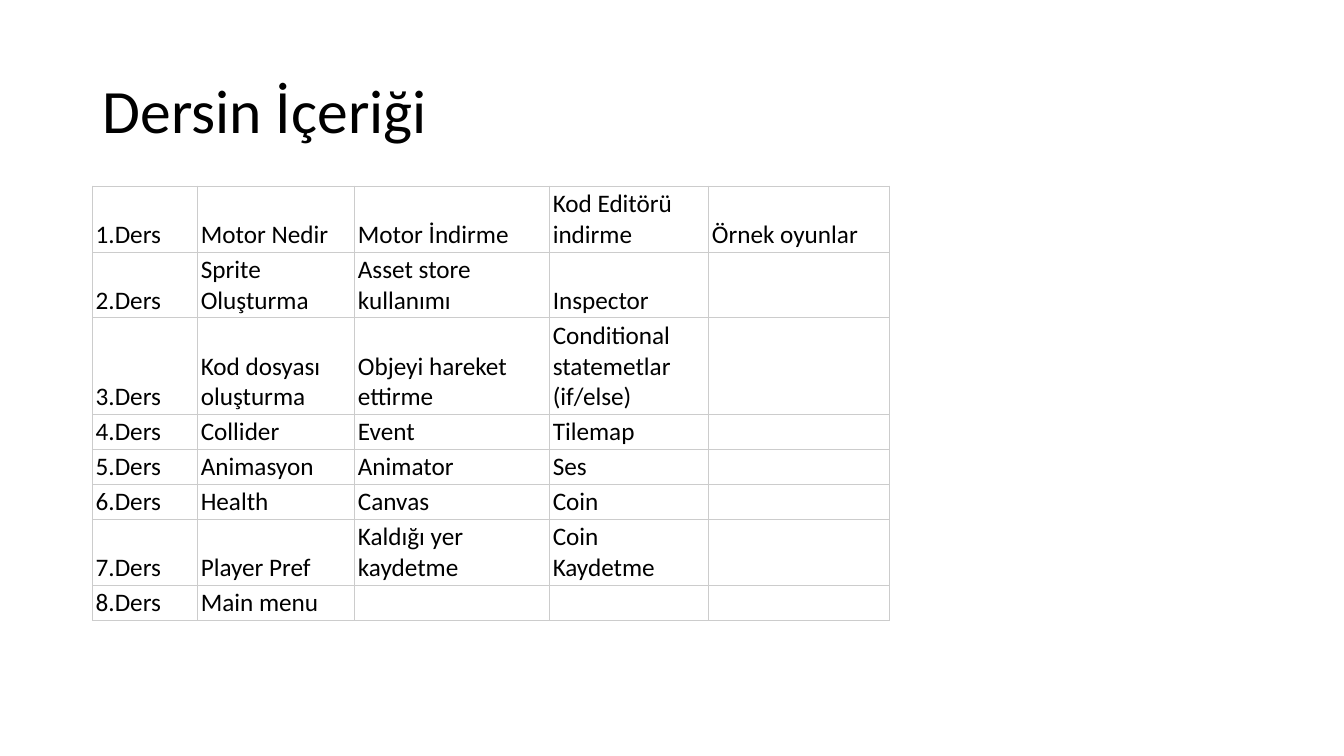
import pptx
import pptx.util
import pptx.dml.color
import pptx.enum.text
import lxml.etree

Cm = pptx.util.Cm
Pt = pptx.util.Pt
Anchor = pptx.enum.text.MSO_ANCHOR
NS = "http://schemas.openxmlformats.org/drawingml/2006/main"

ROWS = [
    (2, ["1.Ders", "Motor Nedir", "Motor İndirme", "Kod Editörü indirme", "Örnek oyunlar"]),
    (2, ["2.Ders", "Sprite Oluşturma", "Asset store kullanımı", "Inspector", ""]),
    (3, ["3.Ders", "Kod dosyası oluşturma", "Objeyi hareket ettirme",
         "Conditional statemetlar (if/else)", ""]),
    (1, ["4.Ders", "Collider", "Event", "Tilemap", ""]),
    (1, ["5.Ders", "Animasyon", "Animator", "Ses", ""]),
    (1, ["6.Ders", "Health", "Canvas", "Coin", ""]),
    (2, ["7.Ders", "Player Pref", "Kaldığı yer kaydetme", "Coin Kaydetme", ""]),
    (1, ["8.Ders", "Main menu", "", "", ""]),
]
WIDTHS = [2.65, 3.96, 4.91, 4.01, 4.56]


def color(code):
    return pptx.dml.color.RGBColor.from_string(code)


class Deck:
    font = "Calibri"
    ink = "000000"
    grid = "CCCCCC"

    def __init__(self):
        self.prs = pptx.Presentation()
        self.prs.slide_width = Cm(33.87)
        self.prs.slide_height = Cm(19.05)
        self.slide = self.prs.slides.add_slide(self.prs.slide_layouts[5])

    def style(self, font, size):
        font.name = self.font
        font.size = Pt(size)
        font.color.rgb = color(self.ink)

    def title(self, text, left, top, width, height):
        shape = self.slide.shapes.title
        shape.left, shape.top = Cm(left), Cm(top)
        shape.width, shape.height = Cm(width), Cm(height)
        frame = shape.text_frame
        frame.text = text
        frame.auto_size = pptx.enum.text.MSO_AUTO_SIZE.NONE
        frame.vertical_anchor = Anchor.MIDDLE
        para = frame.paragraphs[0]
        para.alignment = pptx.enum.text.PP_ALIGN.LEFT
        para.line_spacing = 0.9
        self.style(para.runs[0].font, 44)

    def table(self, rows, widths, left, top):
        sizes = [0.78 * lines + 0.1 for lines, _ in rows]
        frame = self.slide.shapes.add_table(
            len(rows), len(widths), Cm(left), Cm(top), Cm(sum(widths)), Cm(sum(sizes)))
        table = frame.table
        table.first_row = False
        table.horz_banding = False
        for col, width in zip(table.columns, widths):
            col.width = Cm(width)
        for row, size, (_, texts) in zip(table.rows, sizes, rows):
            row.height = Cm(size)
            for cell, text in zip(row.cells, texts):
                self.cell(cell, text)

    def cell(self, cell, text):
        cell.margin_left = cell.margin_right = Cm(0.08)
        cell.margin_top = cell.margin_bottom = Cm(0.05)
        cell.vertical_anchor = Anchor.BOTTOM
        cell.fill.background()
        if text:
            cell.text_frame.text = text
            self.style(cell.text_frame.paragraphs[0].runs[0].font, 18)
        self.border(cell)

    def border(self, cell):
        props = cell._tc.get_or_add_tcPr()
        for index, side in enumerate("LRTB"):
            line = lxml.etree.Element(f"{{{NS}}}ln{side}", w=str(Pt(0.75)))
            fill = lxml.etree.SubElement(line, f"{{{NS}}}solidFill")
            lxml.etree.SubElement(fill, f"{{{NS}}}srgbClr", val=self.grid)
            props.insert(index, line)


def main():
    deck = Deck()
    deck.title("Dersin İçeriği", 2.33, 1.01, 29.21, 3.68)
    deck.table(ROWS, WIDTHS, 2.33, 4.69)
    deck.prs.save("out.pptx")


if __name__ == "__main__":
    main()
